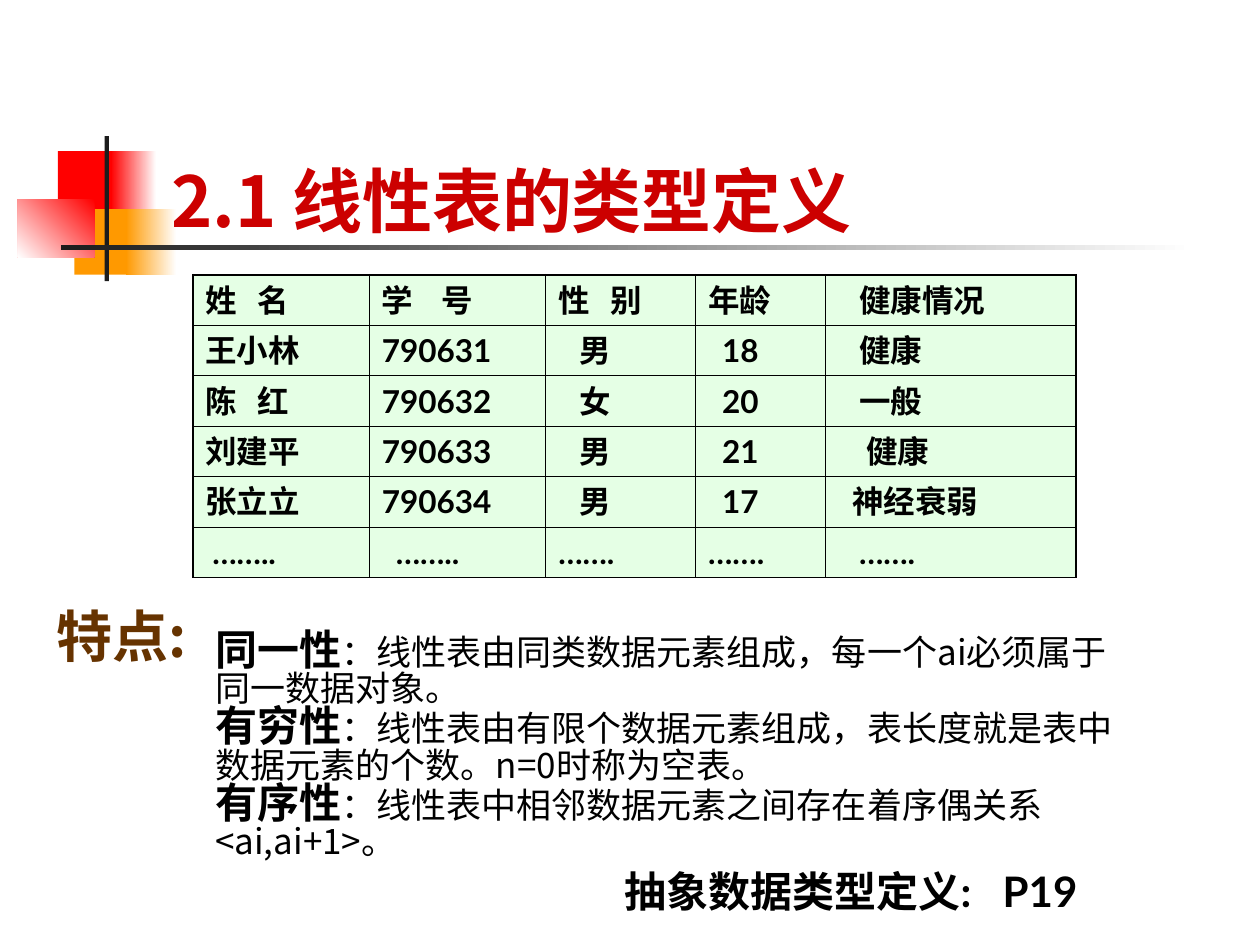
from lxml.etree import SubElement
from pptx import Presentation
from pptx.dml.color import RGBColor
from pptx.enum.shapes import MSO_SHAPE as Shape
from pptx.enum.text import MSO_ANCHOR as Anchor
from pptx.oxml.ns import qn
from pptx.util import Pt

CJK, LATIN = "Noto Sans CJK SC", "Lato"


def rgb(value):
    return RGBColor.from_string(value)


def style(paragraph, face, color, size=None, bold=None, tab=None):
    if tab:
        tabs = SubElement(paragraph._p.get_or_add_pPr(), qn("a:tabLst"))
        SubElement(tabs, qn("a:tab"), pos=str(Pt(tab)), algn="l")
    font = paragraph.font
    font.name = face
    font.color.rgb = rgb(color)
    if size:
        font.size = Pt(size)
    font.bold = bold
    SubElement(font._rPr, qn("a:ea"), typeface=face)


prs = Presentation()
prs.slide_width, prs.slide_height = Pt(720), Pt(540)
slide = prs.slides.add_slide(prs.slide_layouts[6])

ornaments = [
    (33.1, 86.4, 34.6, 37.4, ["FF0000"], 0),
    (63.4, 86.4, 25.9, 37.4, ["FFFFFF", "FF0000"], 180),
    (42.5, 119.5, 33.1, 37.4, ["FF9900"], 0),
    (72, 119.5, 28.8, 37.4, ["FFFFFF", "FF9900"], 180),
    (10.1, 113.8, 43.9, 33.1, ["FF0000", "FFFFFF"], 225),
    (59.8, 77.8, 2.4, 82.8, ["1C1C1C"], 0),
    (34.6, 140.2, 648, 2.4, ["FFFFFF", "1C1C1C"], 180),
]
for left, top, width, height, colors, angle in ornaments:
    block = slide.shapes.add_shape(Shape.RECTANGLE, Pt(left), Pt(top), Pt(width), Pt(height))
    block.shadow.inherit = False
    block.line.fill.background()
    if len(colors) == 1:
        block.fill.solid()
        block.fill.fore_color.rgb = rgb(colors[0])
    else:
        block.fill.gradient()
        block.fill.gradient_angle = angle
        for stop, color in zip(block.fill.gradient_stops, colors):
            stop.color.rgb = rgb(color)

features = slide.shapes.add_textbox(Pt(115.9), Pt(355), Pt(532.8), Pt(165.6)).text_frame
features.word_wrap = True
features.margin_top, features.margin_right = Pt(6), Pt(10)
feature_texts = [
    ("同一性", "：线性表由同类数据元素组成，每一个ai必须属于同一数据对象。"),
    ("有穷性", "：线性表由有限个数据元素组成，表长度就是表中数据元素的个数。n=0时称为空表。"),
    ("有序性", "：线性表中相邻数据元素之间存在着序偶关系<ai,ai+1>。"),
]
for index, (term, meaning) in enumerate(feature_texts):
    feature = features.add_paragraph() if index else features.paragraphs[0]
    feature.line_spacing = 0.83
    style(feature, CJK, "000000")
    for text, size, bold in [(term, 24, True), (meaning, 20, False)]:
        run = feature.add_run()
        run.text = text
        run.font.size = Pt(size)
        run.font.bold = bold

labels = [
    ("2.1 线性表的类型定义", 90.7, 48.2, 613.4, 90, CJK, 40, "CC0000", Anchor.BOTTOM, 3.6, 0, 0.83, None),
    ("特点:", 25.2, 343.4, 131.8, 46.1, CJK, 32, "663300", Anchor.TOP, 7, 3.6, 0.83, None),
    ("抽象数据类型定义:\tP19", 349.9, 491, 274.3, 36, LATIN, 24, "000000", Anchor.TOP, 3.6, 3.6, 1.0, 216),
]
for text, left, top, width, height, face, size, color, anchor, above, below, spacing, tab in labels:
    frame = slide.shapes.add_textbox(Pt(left), Pt(top), Pt(width), Pt(height)).text_frame
    frame.word_wrap = tab is None
    frame.vertical_anchor = anchor
    frame.margin_top, frame.margin_bottom = Pt(above), Pt(below)
    label = frame.paragraphs[0]
    label.text = text
    label.line_spacing = spacing
    style(label, face, color, size, True, tab)

records = [
    ["姓\t名", "学\t号", "性\t别", "年龄", "健康情况"],
    ["王小林", "790631", "男", "18", "健康"],
    ["陈\t红", "790632", "女", "20", "一般"],
    ["刘建平", "790633", "男", "21", "健康"],
    ["张立立", "790634", "男", "17", "神经衰弱"],
    ["……..", "……..", "…….", "…….", "……."],
]
indents = [
    [0, 0, 0, 0, 12],
    [0, 0, 12, 8, 12],
    [0, 0, 12, 8, 12],
    [0, 0, 12, 8, 16],
    [0, 0, 12, 8, 8],
    [4, 8, 0, 0, 12],
]
column_widths = [100.8, 100.8, 85.7, 74.2, 143.3]
last_row, last_column = len(records) - 1, len(column_widths) - 1
roster = slide.shapes.add_table(
    len(records), len(column_widths), Pt(110.2), Pt(157), Pt(sum(column_widths)), Pt(172.8)
).table
roster.first_row = roster.horz_banding = False
for column, width in zip(roster.columns, column_widths):
    column.width = Pt(width)
for r, record in enumerate(records):
    roster.rows[r].height = Pt(28.8)
    for c, text in enumerate(record):
        cell = roster.cell(r, c)
        cell.margin_left = Pt(7.2 + indents[r][c])
        entry = cell.text_frame.paragraphs[0]
        entry.text = text
        tab = (34 if c == 1 else 30) if "\t" in text else None
        style(entry, LATIN, "000000", 18, True, tab)
        outer_edges = {"L": c == 0, "R": c == last_column, "T": r == 0, "B": r == last_row}
        properties = cell._tc.get_or_add_tcPr()
        for side, outer in outer_edges.items():
            border = SubElement(properties, qn(f"a:ln{side}"), w=str(Pt(1.08 if outer else 0.45)))
            paint = SubElement(border, qn("a:solidFill"))
            SubElement(paint, qn("a:srgbClr"), val="000000")
        cell.fill.solid()
        cell.fill.fore_color.rgb = rgb("CCFFCC")
        tint = properties.find(qn("a:solidFill")).find(qn("a:srgbClr"))
        SubElement(tint, qn("a:alpha"), val="50000")

prs.save("out.pptx")
